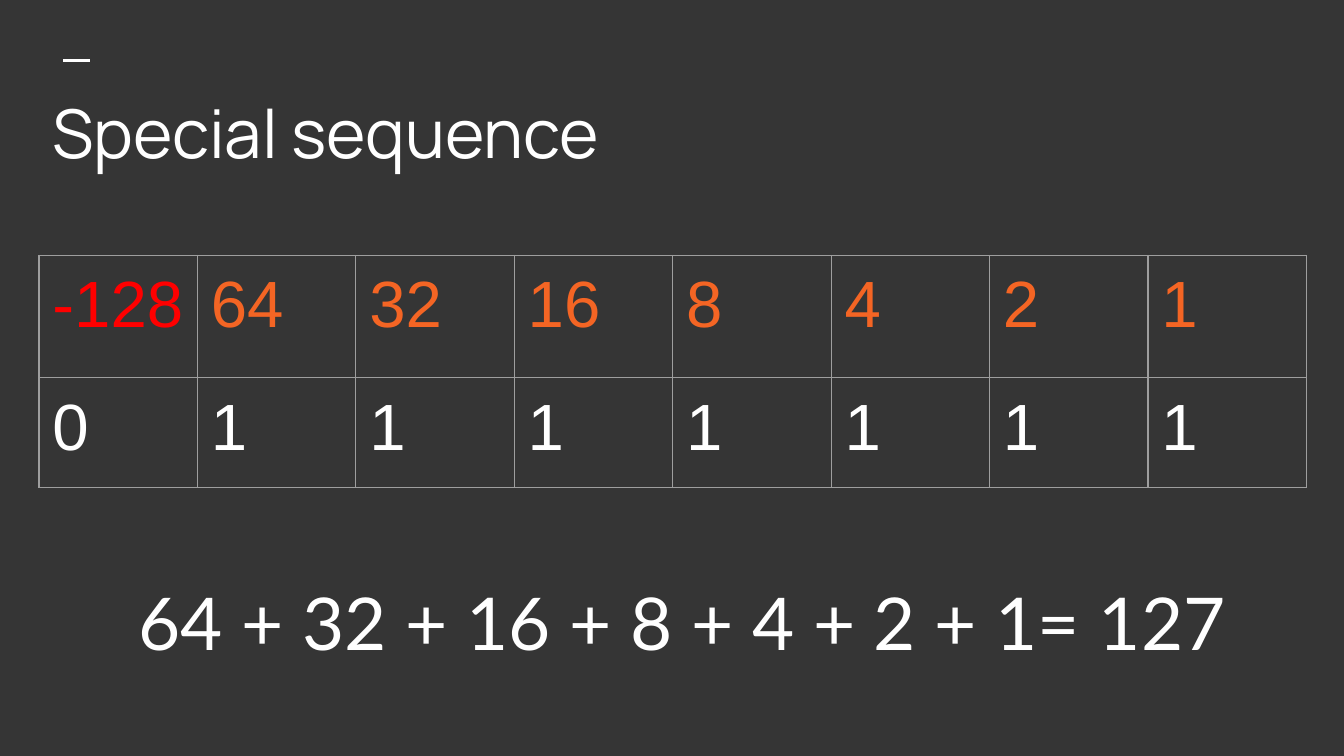
"""Build a slide that adds up the place values of an eight-bit number."""
import lxml.etree
import pptx
import pptx.dml.color
import pptx.enum.shapes
import pptx.enum.text
import pptx.oxml.ns
import pptx.util

Inches = pptx.util.Inches
qn = pptx.oxml.ns.qn
MARGIN = Inches(0.1)
LEFT, WIDTH = Inches(0.29), Inches(9.43)


def color(hex_string):
    return pptx.dml.color.RGBColor.from_string(hex_string)


def style(paragraph, font_name, size, hex_string):
    for run in paragraph.runs:
        run.font.name = font_name
        run.font.size = pptx.util.Pt(size)
        run.font.color.rgb = color(hex_string)


deck = pptx.Presentation()
deck.slide_width = Inches(10)
deck.slide_height = deck.slide_width * 9 // 16
slide = deck.slides.add_slide(deck.slide_layouts[5])
slide.background.fill.solid()
slide.background.fill.fore_color.rgb = color("353535")

accent = slide.shapes.add_connector(
    pptx.enum.shapes.MSO_CONNECTOR.STRAIGHT,
    Inches(0.47), Inches(0.45), Inches(0.67), Inches(0.45))
accent.line.color.rgb = color("FFFFFF")
accent.line.width = pptx.util.Pt(1.5)
lxml.etree.SubElement(accent._element.spPr, qn("a:effectLst"))

title = slide.shapes.title
title.left, title.top, title.width, title.height = LEFT, Inches(0.59), WIDTH, Inches(0.78)
title.text_frame.text = "Special sequence"
title.text_frame.vertical_anchor = pptx.enum.text.MSO_ANCHOR.MIDDLE
heading = title.text_frame.paragraphs[0]
heading.alignment = pptx.enum.text.PP_ALIGN.LEFT
heading.space_after = pptx.util.Pt(10)
style(heading, "Manrope", 36, "FFFFFF")

place_values = [-128, 64, 32, 16, 8, 4, 2, 1]
bits = [0] + [1] * 7
bit_table = slide.shapes.add_table(
    2, 8, LEFT, Inches(1.9), WIDTH, Inches(1.73)).table
bit_table.first_row = bit_table.horz_banding = False
for column in bit_table.columns:
    column.width = WIDTH // 8
bit_table.rows[0].height, bit_table.rows[1].height = Inches(0.91), Inches(0.82)

for row, numbers in enumerate([place_values, bits]):
    for column, number in enumerate(numbers):
        cell = bit_table.cell(row, column)
        cell.text_frame.text = str(number)
        if row == 1:
            number_color = "FFFFFF"
        else:
            number_color = "FF0000" if number < 0 else "F46524"
        style(cell.text_frame.paragraphs[0], "Arial", 35, number_color)
        cell.margin_left = cell.margin_right = MARGIN
        cell.margin_top = cell.margin_bottom = MARGIN
        properties = cell._tc.get_or_add_tcPr()
        for side in ("a:lnL", "a:lnR", "a:lnT", "a:lnB"):
            border = lxml.etree.SubElement(properties, qn(side), w=str(pptx.util.Pt(0.75)))
            line_fill = lxml.etree.SubElement(border, qn("a:solidFill"))
            lxml.etree.SubElement(line_fill, qn("a:srgbClr"), val="9E9E9E")
        cell.fill.background()

total = slide.shapes.add_textbox(LEFT, Inches(4.2), WIDTH, Inches(0.86))
total.text_frame.word_wrap = True
total.text_frame.auto_size = pptx.enum.text.MSO_AUTO_SIZE.SHAPE_TO_FIT_TEXT
total.text_frame.text = " 64 + 32 + 16 + 8 + 4 + 2 + 1= 127"
total.text_frame.paragraphs[0].alignment = pptx.enum.text.PP_ALIGN.CENTER
style(total.text_frame.paragraphs[0], "Lato", 39, "FFFFFF")

for frame in (title.text_frame, total.text_frame):
    frame.margin_left = frame.margin_right = MARGIN
    frame.margin_top = frame.margin_bottom = MARGIN

deck.save("out.pptx")
